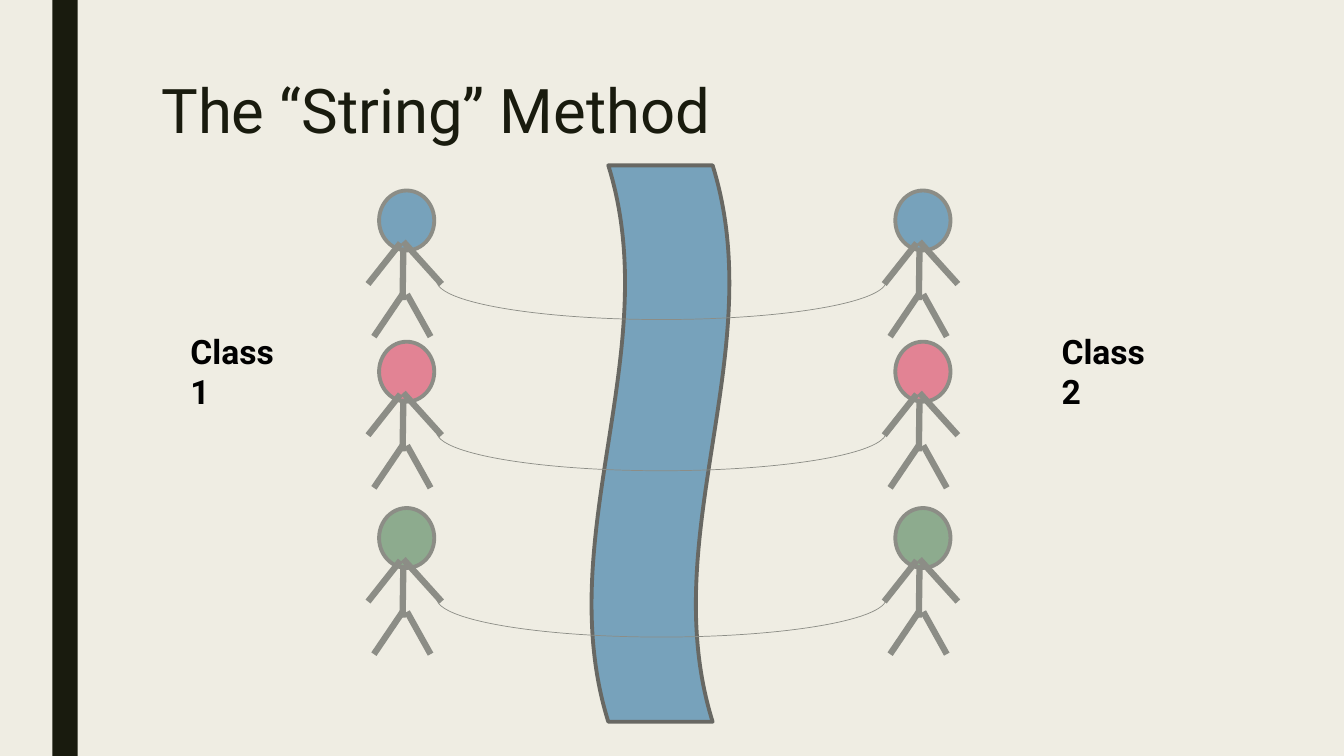
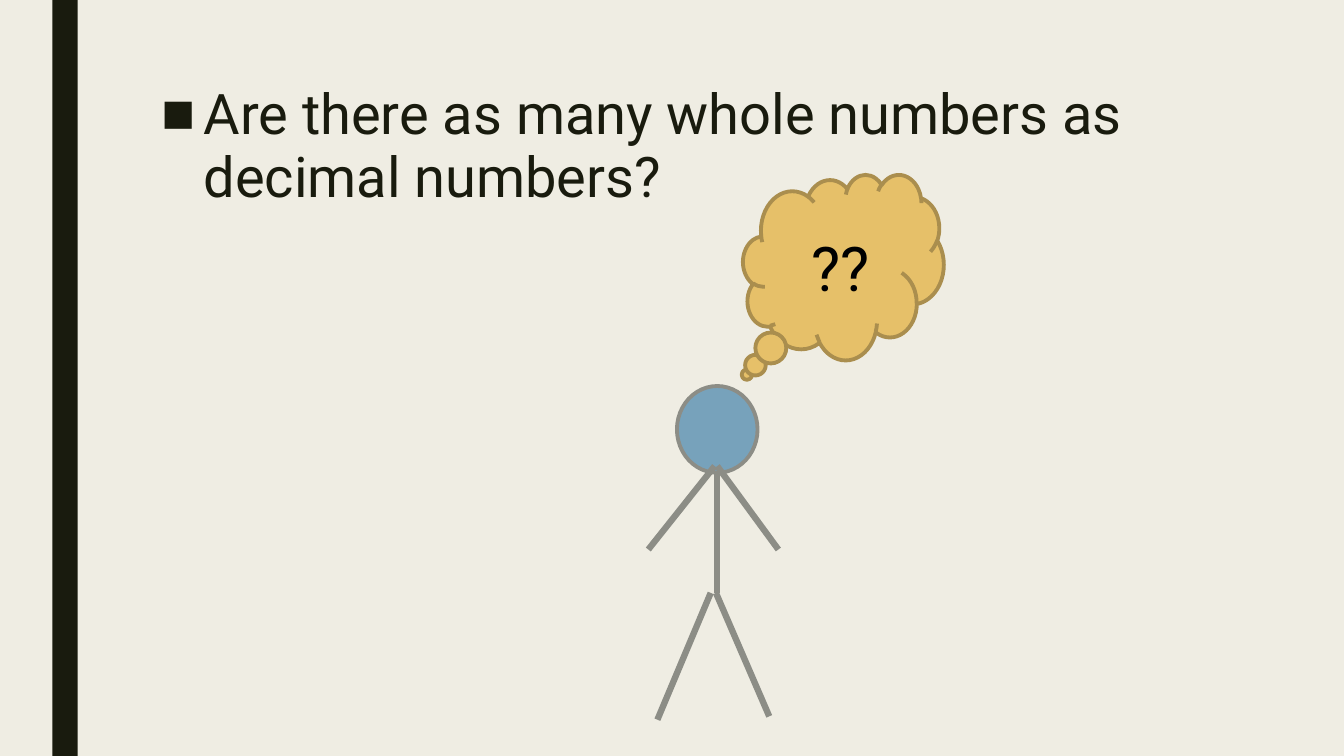
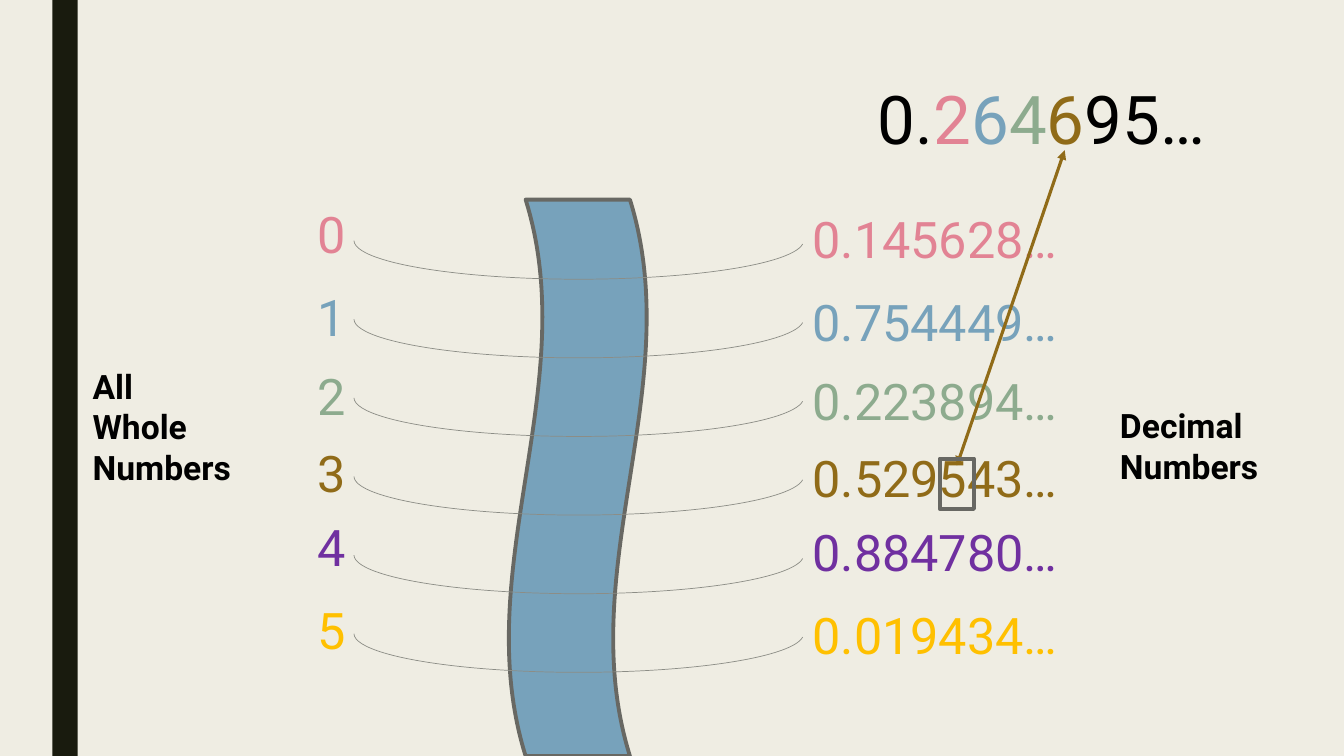
from lxml.etree import SubElement
from pptx import Presentation
from pptx.dml.color import RGBColor
from pptx.enum.shapes import MSO_CONNECTOR, MSO_SHAPE
from pptx.enum.text import MSO_ANCHOR, MSO_AUTO_SIZE, PP_ALIGN
from pptx.oxml.ns import qn
from pptx.util import Inches, Pt

WIDE, HIGH = 13.33, 7.5
FONT = "Roboto"
HUES = {
    "paper": "EFEDE3", "ink": "191B0E", "black": "000000", "gray": "8C8D86",
    "edge": "686863", "blue": "77A2BB", "pink": "E28394", "green": "8DAB8E",
    "brown": "906B18", "violet": "7030A0", "gold": "FFC000",
    "sand": "E6C069", "rim": "AA8E4E",
}
SMALL = {
    "head": (0.15, 0, 0.75, 0.41),
    "limbs": [(0.48, 0.39, 0.47, 0.75), (0.47, 0.71, 0.08, 1), (0.53, 0.71, 0.85, 1),
              (0.48, 0.35, 1, 0.64), (0.44, 0.36, 0, 0.64)],
}
LARGE = {
    "head": (0.22, 0, 0.62, 0.26),
    "limbs": [(0.53, 0.26, 0.53, 0.62), (0.48, 0.62, 0.07, 1), (0.52, 0.62, 0.93, 0.99),
              (0.53, 0.24, 1, 0.49), (0.51, 0.24, 0, 0.49)],
}
PAIRS = [
    (1.97, "0", "0.145628…", "pink"),
    (2.79, "1", "0.754449…", "blue"),
    (3.57, "2", "0.223894…", "green"),
    (4.34, "3", "0.529543…", "brown"),
    (5.07, "4", "0.884780…", "violet"),
    (5.89, "5", "0.019434…", "gold"),
]
DIGITS = [("0.", "black"), ("2", "pink"), ("6", "blue"), ("4", "green"),
          ("6", "brown"), ("95…", "black")]


def tint(name):
    """Return the named colour."""
    return RGBColor.from_string(HUES[name])


def place(item, box):
    """Move an item to a box of left, top, width and height in inches."""
    item.left, item.top, item.width, item.height = map(Inches, box)


def style(run, size, hue, bold=False):
    """Format one run."""
    run.font.name, run.font.size, run.font.bold = FONT, Pt(size), bold
    run.font.color.rgb = tint(hue)


def shape(slide, kind, box, fill=None, edge=None, width=2.75, turn=0):
    """Draw a preset shape."""
    item = slide.shapes.add_shape(kind, *map(Inches, box))
    item.shadow.inherit = False
    item.rotation = turn
    if fill:
        item.fill.solid()
        item.fill.fore_color.rgb = tint(fill)
    else:
        item.fill.background()
    if edge:
        item.line.color.rgb = tint(edge)
        item.line.width = Pt(width)
    else:
        item.line.fill.background()
    return item


def stroke(slide, ends, hue, width, tips=()):
    """Draw a straight line, with arrowheads on the given tips."""
    line = slide.shapes.add_connector(MSO_CONNECTOR.STRAIGHT, *map(Inches, ends))
    line.line.color.rgb = tint(hue)
    line.line.width = Pt(width)
    props = line.element.spPr
    for tip in tips:
        SubElement(props.find(qn("a:ln")), qn(tip)).set("type", "triangle")
    SubElement(props, qn("a:effectLst"))


def label(slide, box, parts, size, bold=False):
    """Write a text box from pairs of text and colour."""
    frame = slide.shapes.add_textbox(*map(Inches, box)).text_frame
    frame.word_wrap = True
    frame.auto_size = MSO_AUTO_SIZE.SHAPE_TO_FIT_TEXT
    for text, hue in parts:
        run = frame.paragraphs[0].add_run()
        run.text = text
        style(run, size, hue, bold)


def fill_holder(holder, box, text, size, space):
    """Place and format a placeholder and return its paragraph."""
    place(holder, box)
    frame = holder.text_frame
    frame.text = text
    frame.word_wrap = True
    frame.auto_size = MSO_AUTO_SIZE.NONE
    frame.vertical_anchor = MSO_ANCHOR.TOP
    para = frame.paragraphs[0]
    para.alignment = PP_ALIGN.LEFT
    para.line_spacing = space
    style(para.runs[0], size, "ink")
    return para


def person(slide, box, pose, fill):
    """Draw a stick figure whose pose is given as shares of its box."""
    left, top, wide, high = box
    x, y, w, h = pose["head"]
    shape(slide, MSO_SHAPE.OVAL, (left + x * wide, top + y * high, w * wide, h * high),
          fill, "gray")
    for a, b, c, d in pose["limbs"]:
        ends = left + a * wide, top + b * high, left + c * wide, top + d * high
        stroke(slide, ends, "gray", 4.5)


def river(slide, left, top):
    """Draw the upright wave from the corner of its unturned box."""
    shape(slide, MSO_SHAPE.WAVE, (left, top, 5.52, 1.38), "blue", "edge", turn=90)


def string(slide, left, top):
    """Draw one hanging string."""
    arc = shape(slide, MSO_SHAPE.ARC, (left, top, 4.46, 0.77), None, "gray", 0.5, 180)
    arc.adjustments[0], arc.adjustments[1] = 108.548, 215.972


def theme(deck, slide):
    """Give the master its paper colour and its dark band."""
    master = deck.slide_master
    master.background.fill.solid()
    master.background.fill.fore_color.rgb = tint("paper")
    band = shape(slide, MSO_SHAPE.RECTANGLE, (0.52, 0, 0.25, HIGH), "ink").element
    band.nvSpPr.cNvPr.set("id", "99")
    master.shapes.element.append(band)


def method(slide):
    """Build the slide that ties two classes together."""
    fill_holder(slide.shapes.title, (1.5, 0.75, 10.5, 1.62),
                "The “String” Method", 44, 0.89)
    rows = [(1.89, "blue"), (3.39, "pink"), (5.04, "green")]
    for left in (3.65, 8.77):
        for top, hue in rows:
            person(slide, (left, top, 0.73, 1.45), SMALL, hue)
    for left, text in ((1.79, "Class 1"), (10.43, "Class 2")):
        label(slide, (left, 3.23, 1.25, 0.5), [(text, "black")], 24, True)
    river(slide, 3.79, 3.71)
    for top, _ in rows:
        string(slide, 4.33, top + 0.51)


def question(slide):
    """Build the slide with the question and the thinker."""
    title = slide.shapes.title.element
    title.getparent().remove(title)
    para = fill_holder(slide.placeholders[1], (1.5, 0.78, 10.5, 3.92),
                       "Are there as many whole numbers as decimal numbers?", 40, 0.94)
    para.space_before, para.space_after = Pt(10), Pt(2)
    props = para._p.get_or_add_pPr()
    props.set("marL", str(Inches(0.42)))
    props.set("indent", str(-Inches(0.42)))
    SubElement(props, qn("a:buChar")).set("char", "■")
    person(slide, (6.43, 3.83, 1.29, 3.31), LARGE, "blue")
    cloud = shape(slide, MSO_SHAPE.CLOUD_CALLOUT, (7.37, 1.73, 1.99, 1.84), "sand", "rim")
    cloud.adjustments[0], cloud.adjustments[1] = -0.481, 0.58
    label(slide, (7.95, 2.23, 0.83, 0.84), [("??", "black")], 44)


def numbers(slide):
    """Build the slide that pairs whole numbers with decimals."""
    label(slide, (0.82, 3.58, 1.61, 0.91), [("All Whole Numbers", "black")], 24, True)
    label(slide, (11.01, 3.97, 1.71, 0.91), [("Decimal Numbers", "black")], 24, True)
    river(slide, 2.97, 4.05)
    for row, (top, whole, part, hue) in enumerate(PAIRS):
        string(slide, 3.51, 2 + 0.78 * row)
        label(slide, (3.05, top, 0.5, 0.71), [(whole, hue)], 36)
        label(slide, (7.96, top + 0.05, 2.78, 0.71), [(part, hue)], 36)
    label(slide, (8.61, 0.72, 4.7, 0.91), DIGITS, 48)
    stroke(slide, (9.49, 4.62, 10.56, 1.49), "brown", 2.25, ("a:headEnd", "a:tailEnd"))
    shape(slide, MSO_SHAPE.RECTANGLE, (9.32, 4.55, 0.34, 0.5), None, "edge")


def main():
    """Build and save the deck."""
    deck = Presentation()
    deck.slide_width, deck.slide_height = Inches(WIDE), Inches(HIGH)
    for build, layout in ((method, 5), (question, 1), (numbers, 6)):
        slide = deck.slides.add_slide(deck.slide_layouts[layout])
        if build is method:
            theme(deck, slide)
        build(slide)
    deck.save("out.pptx")


if __name__ == "__main__":
    main()
